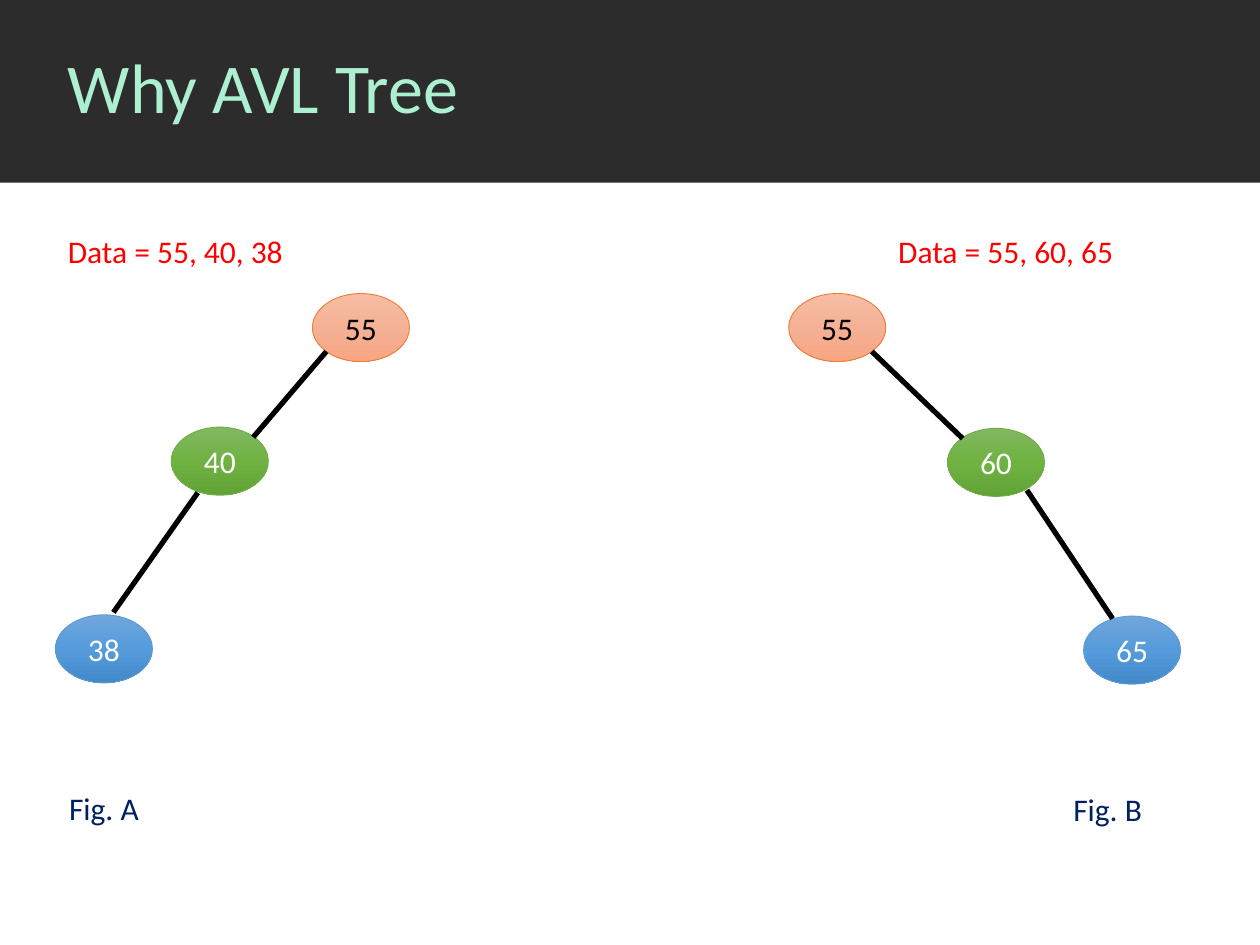
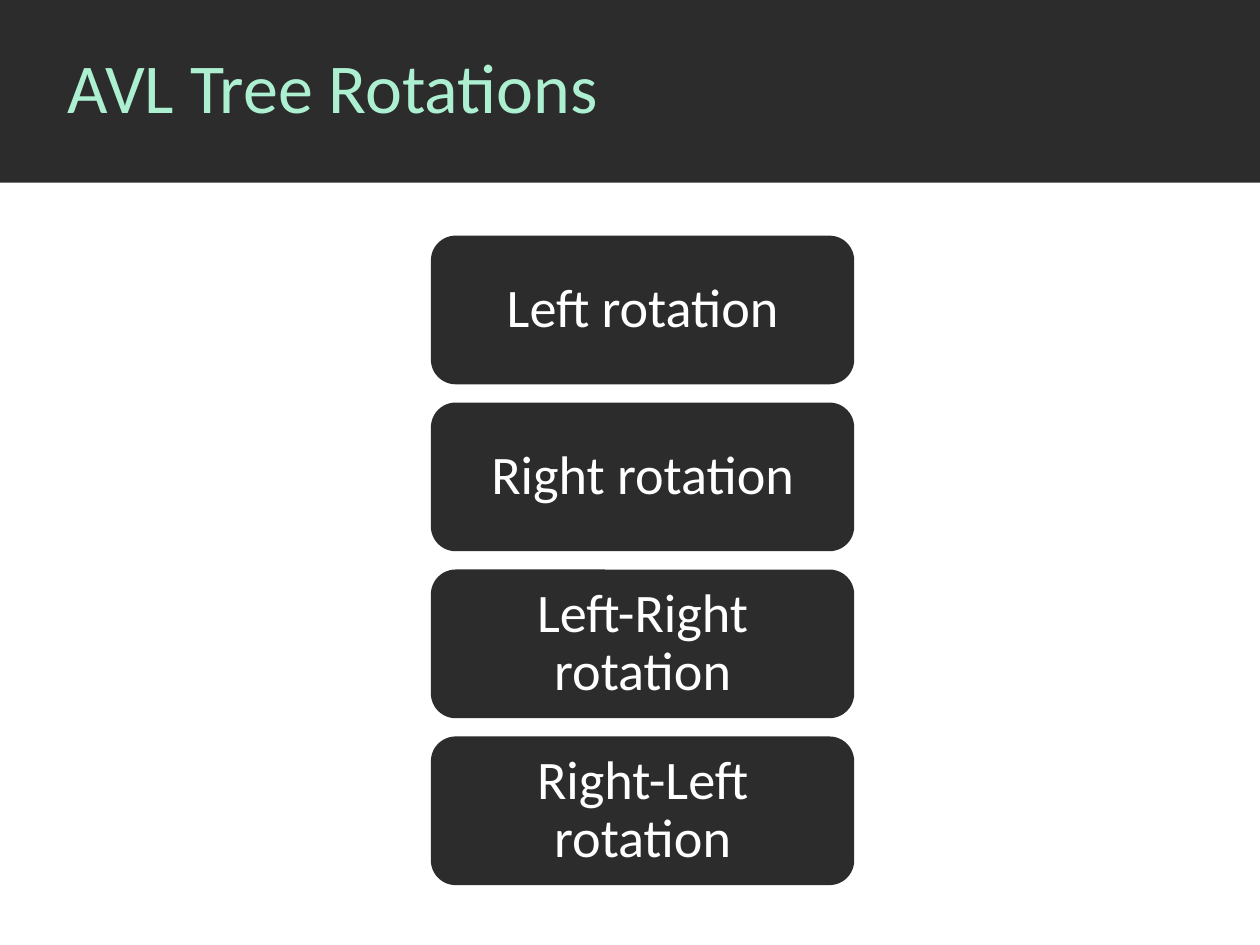
import copy

import pptx
import pptx.util
from lxml import etree
from pptx.dml.color import RGBColor
from pptx.enum.shapes import MSO_CONNECTOR, MSO_SHAPE
from pptx.enum.text import MSO_ANCHOR, MSO_AUTO_SIZE, PP_ALIGN
from pptx.oxml.ns import qn

Inches = pptx.util.Inches
Pt = pptx.util.Pt

CHARCOAL = RGBColor(0x2C, 0x2C, 0x2C)
MINT = RGBColor(0xAD, 0xF0, 0xD1)
WHITE = RGBColor(0xFF, 0xFF, 0xFF)
BLACK = RGBColor(0x00, 0x00, 0x00)
RED = RGBColor(0xFF, 0x00, 0x00)
NAVY = RGBColor(0x00, 0x20, 0x60)

ORANGE_EDGE = RGBColor(0xED, 0x7D, 0x31)
ORANGE_SHADES = (RGBColor(0xF7, 0xBD, 0xA5), RGBColor(0xF5, 0xB1, 0x96), RGBColor(0xF8, 0xA5, 0x82))
GREEN_EDGE = RGBColor(0x70, 0xAD, 0x47)
GREEN_SHADES = (RGBColor(0x81, 0xB8, 0x61), RGBColor(0x6F, 0xB2, 0x42), RGBColor(0x62, 0xA3, 0x36))
BLUE_EDGE = RGBColor(0x5B, 0x9B, 0xD5)
BLUE_SHADES = (RGBColor(0x71, 0xA6, 0xDB), RGBColor(0x55, 0x9B, 0xDB), RGBColor(0x44, 0x8A, 0xCA))

# Shades, outline and text colour for each level of a tree, root first
LEVELS = [
    (ORANGE_SHADES, ORANGE_EDGE, BLACK),
    (GREEN_SHADES, GREEN_EDGE, WHITE),
    (BLUE_SHADES, BLUE_EDGE, WHITE),
]

TITLE_FONT = {"name": "Calibri", "size": Pt(40)}
LABEL_FONT = {"name": "Calibri", "size": Pt(18)}
ROTATION_FONT = {"name": "Calibri", "size": Pt(31)}

CENTRED = {"alignment": PP_ALIGN.CENTER}
TIGHT = {"line_spacing": 0.9}

NODE_SIZE = (0.77, 0.54)

# Nodes are (value, left, top); edges are (from, to)
LEFT_HEAVY = {
    "data": ("Data = 55, 40, 38", 0.44, 1.79),
    "nodes": [("55", 2.48, 2.33), ("40", 1.36, 3.39), ("38", 0.44, 4.88)],
    "edges": [((2.59, 2.79), (2.01, 3.47)), ((1.57, 3.91), (0.9, 4.86))],
    "caption": ("Fig. A", 0.45, 6.21),
}
RIGHT_HEAVY = {
    "data": ("Data = 55, 60, 65", 7.03, 1.79),
    "nodes": [("55", 6.26, 2.33), ("60", 7.52, 3.4), ("65", 8.6, 4.89)],
    "edges": [((6.92, 2.79), (7.64, 3.48)), ((8.15, 3.89), (8.83, 4.91))],
    "caption": ("Fig. B", 8.42, 6.22),
}
ROTATIONS = ["Left rotation", "Right rotation", "Left-Right rotation", "Right-Left rotation"]
ROTATION_TOP = 1.87
ROTATION_PITCH = 1.325


def apply(target, formats):
    for attribute, value in formats.items():
        setattr(target, attribute, value)


def write(shape, text, font, color, paragraph_format, frame_format):
    frame = shape.text_frame
    apply(frame, {"word_wrap": True, **frame_format})
    paragraph = frame.paragraphs[0]
    paragraph.text = text
    apply(paragraph, paragraph_format)
    apply(paragraph.font, font)
    paragraph.font.color.rgb = color


def add_plain_shape(slide, kind, left, top, width, height):
    shape = slide.shapes.add_shape(kind, Inches(left), Inches(top), Inches(width), Inches(height))
    shape.shadow.inherit = False
    return shape


def add_solid_shape(slide, kind, left, top, width, height):
    shape = add_plain_shape(slide, kind, left, top, width, height)
    shape.fill.solid()
    shape.fill.fore_color.rgb = CHARCOAL
    shape.line.fill.background()
    return shape


def add_text(slide, text, box, font, color, paragraph_format, frame_format):
    area = slide.shapes.add_textbox(*map(Inches, box))
    write(area, text, font, color, paragraph_format, frame_format)


def add_titled_slide(deck, title):
    slide = deck.slides.add_slide(deck.slide_layouts[6])
    add_solid_shape(slide, MSO_SHAPE.RECTANGLE, 0, 0, 10, 1.45)
    add_text(slide, title, (0.44, 0, 9.56, 1.44), TITLE_FONT, MINT, TIGHT,
             {"vertical_anchor": MSO_ANCHOR.MIDDLE})
    return slide


def shade_downwards(shape, shades):
    """Fill the shape with evenly spaced shades running from top to bottom."""
    fill = shape.fill
    fill.gradient()
    fill.gradient_angle = 270
    stop_list = shape.element.spPr.find(".//" + qn("a:gsLst"))
    stop_list.append(copy.deepcopy(stop_list[-1]))
    for index, (stop, shade) in enumerate(zip(fill.gradient_stops, shades)):
        apply(stop, {"position": index / (len(shades) - 1)})
        stop.color.rgb = shade


def add_node(slide, value, left, top, level):
    shades, edge_color, text_color = level
    node = add_plain_shape(slide, MSO_SHAPE.OVAL, left, top, *NODE_SIZE)
    shade_downwards(node, shades)
    node.line.color.rgb = edge_color
    node.line.width = Pt(0.5)
    write(node, value, LABEL_FONT, text_color, CENTRED, {"vertical_anchor": MSO_ANCHOR.MIDDLE})


def add_edge(slide, start, end):
    edge = slide.shapes.add_connector(MSO_CONNECTOR.STRAIGHT, *map(Inches, start + end))
    edge.line.color.rgb = BLACK
    edge.line.width = Pt(3)
    etree.SubElement(edge.element.spPr, qn("a:effectLst"))


def add_label(slide, text, left, top, width, color):
    add_text(slide, text, (left, top, width, 0.4), LABEL_FONT, color, {},
             {"auto_size": MSO_AUTO_SIZE.SHAPE_TO_FIT_TEXT})


def add_tree(slide, tree):
    for (value, left, top), level in zip(tree["nodes"], LEVELS):
        add_node(slide, value, left, top, level)
    for start, end in tree["edges"]:
        add_edge(slide, start, end)
    add_label(slide, *tree["data"], 2.15, RED)
    add_label(slide, *tree["caption"], 1.13, NAVY)


def add_rotation(slide, rotation, top):
    card = add_solid_shape(slide, MSO_SHAPE.ROUNDED_RECTANGLE, 3.42, top, 3.36, 1.18)
    write(card, rotation, ROTATION_FONT, WHITE, {**CENTRED, **TIGHT}, {
        "vertical_anchor": MSO_ANCHOR.MIDDLE,
        "margin_left": Inches(0.13),
        "margin_right": Inches(0.13),
        "margin_top": Inches(0.06),
        "margin_bottom": Inches(0.06),
    })


def main():
    deck = pptx.Presentation()
    apply(deck, {"slide_width": Inches(10), "slide_height": Inches(7.5)})

    why_slide = add_titled_slide(deck, "Why AVL Tree")
    for tree in (LEFT_HEAVY, RIGHT_HEAVY):
        add_tree(why_slide, tree)

    rotations_slide = add_titled_slide(deck, "AVL Tree Rotations")
    for index, rotation in enumerate(ROTATIONS):
        add_rotation(rotations_slide, rotation, ROTATION_TOP + index * ROTATION_PITCH)

    deck.save("out.pptx")


if __name__ == "__main__":
    main()
